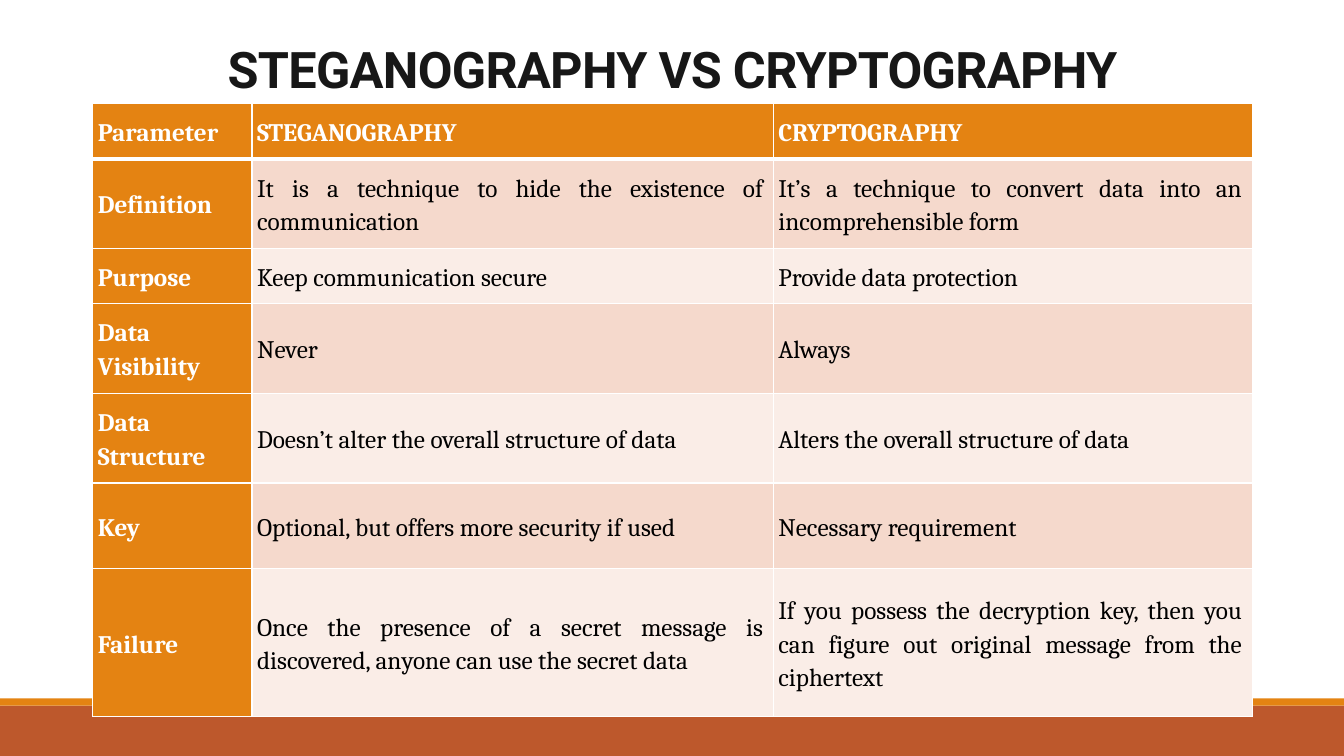
from dataclasses import dataclass

from lxml.etree import SubElement
from pptx import Presentation
from pptx.dml.color import RGBColor
from pptx.enum.shapes import MSO_SHAPE as Shape
from pptx.enum.text import MSO_ANCHOR as Anchor, PP_ALIGN as Align
from pptx.oxml import parse_xml
from pptx.oxml.ns import nsdecls, qn
from pptx.util import Inches, Pt


@dataclass(frozen=True)
class Theme:
    orange: str = "E48312"
    rust: str = "BD582C"
    band_dark: str = "F5D9CC"
    band_light: str = "FAEDE7"
    white: str = "FFFFFF"
    black: str = "000000"
    title_ink: str = "171717"
    title_font: str = "Roboto"
    body_font: str = "Cambria"
    title_size: int = 36
    body_size: int = 18


THEME = Theme()

COLUMN_WIDTHS = [1.58, 5.17, 4.75]
ROW_HEIGHTS = [0.53, 0.85, 0.53, 0.85, 0.85, 0.85, 1.47]
COMPARISON = [
    ("Parameter", "STEGANOGRAPHY", "CRYPTOGRAPHY"),
    ("Definition",
     "It is a technique to hide the existence of communication",
     "It’s a technique to convert data into an incomprehensible form"),
    ("Purpose", "Keep communication secure", "Provide data protection"),
    ("Data Visibility", "Never", "Always"),
    ("Data Structure",
     "Doesn’t alter the overall structure of data",
     "Alters the overall structure of data"),
    ("Key",
     "Optional, but offers more security if used",
     "Necessary requirement"),
    ("Failure",
     "Once the presence of a secret message is discovered, "
     "anyone can use the secret data",
     "If you possess the decryption key, then you can figure out "
     "original message from the ciphertext"),
]


def write_text(frame, text, *, font, size, color, bold=False,
               align=Align.LEFT, line_spacing=1.0, tracking=None):
    """Fill a text frame with one paragraph; tracking is in points."""
    frame.word_wrap = True
    paragraph = frame.paragraphs[0]
    paragraph.alignment = align
    paragraph.line_spacing = line_spacing
    run = paragraph.add_run()
    run.text = text
    run.font.name = font
    run.font.size = Pt(size)
    run.font.bold = bold
    run.font.color.rgb = RGBColor.from_string(color)
    if tracking is not None:
        run._r.get_or_add_rPr().set("spc", str(round(tracking * 100)))


def add_footer_band(slide, top, height, color):
    band = slide.shapes.add_shape(
        Shape.RECTANGLE, 0, Inches(top), Inches(13.33), Inches(height))
    band.shadow.inherit = False
    band.fill.solid()
    band.fill.fore_color.rgb = RGBColor.from_string(color)
    band.line.fill.background()


def add_title(slide, text):
    title = slide.shapes.add_textbox(
        Inches(0.92), Inches(0.45), Inches(11.5), Inches(0.58))
    title.text_frame.vertical_anchor = Anchor.BOTTOM
    write_text(title.text_frame, text, font=THEME.title_font,
               size=THEME.title_size, color=THEME.title_ink, bold=True,
               align=Align.CENTER, line_spacing=0.85, tracking=-0.5)


def set_borders(cell, **widths):
    """Draw white cell borders; widths are points keyed by L, R, T and B."""
    properties = cell._tc.get_or_add_tcPr()
    for position, side in enumerate("LRTB"):
        border = parse_xml(f'<a:ln{side} {nsdecls("a")}/>')
        border.set("w", str(Pt(widths.get(side, 1))))
        fill = SubElement(border, qn("a:solidFill"))
        SubElement(fill, qn("a:srgbClr"), val=THEME.white)
        properties.insert(position, border)


def format_cell(cell, text, row, column):
    is_heading = row == 0 or column == 0
    band = THEME.band_dark if row % 2 else THEME.band_light
    cell.fill.solid()
    cell.fill.fore_color.rgb = RGBColor.from_string(
        THEME.orange if is_heading else band)
    cell.vertical_anchor = Anchor.MIDDLE
    cell.margin_left = Inches(0.05)
    cell.margin_right = cell.margin_top = cell.margin_bottom = Inches(0.1)
    write_text(cell.text_frame, text, font=THEME.body_font,
               size=THEME.body_size, bold=is_heading,
               color=THEME.white if is_heading else THEME.black,
               align=Align.JUSTIFY, line_spacing=1.15)
    set_borders(cell, T=3 if row == 1 else 1, B=3 if row == 0 else 1)


def add_comparison_table(slide):
    table = slide.shapes.add_table(
        len(ROW_HEIGHTS), len(COLUMN_WIDTHS), Inches(0.92), Inches(1.03),
        Inches(sum(COLUMN_WIDTHS)), Inches(sum(ROW_HEIGHTS))).table
    table.first_col = True
    for column, width in zip(table.columns, COLUMN_WIDTHS):
        column.width = Inches(width)
    for row, height in zip(table.rows, ROW_HEIGHTS):
        row.height = Inches(height)
    for r, texts in enumerate(COMPARISON):
        for c, text in enumerate(texts):
            format_cell(table.cell(r, c), text, r, c)


def main():
    deck = Presentation()
    deck.slide_width, deck.slide_height = Inches(13.33), Inches(7.5)
    slide = deck.slides.add_slide(deck.slide_layouts[6])
    add_footer_band(slide, 7, 0.5, THEME.rust)
    add_footer_band(slide, 6.93, 0.07, THEME.orange)
    add_title(slide, "STEGANOGRAPHY VS CRYPTOGRAPHY")
    add_comparison_table(slide)
    deck.save("out.pptx")


if __name__ == "__main__":
    main()
